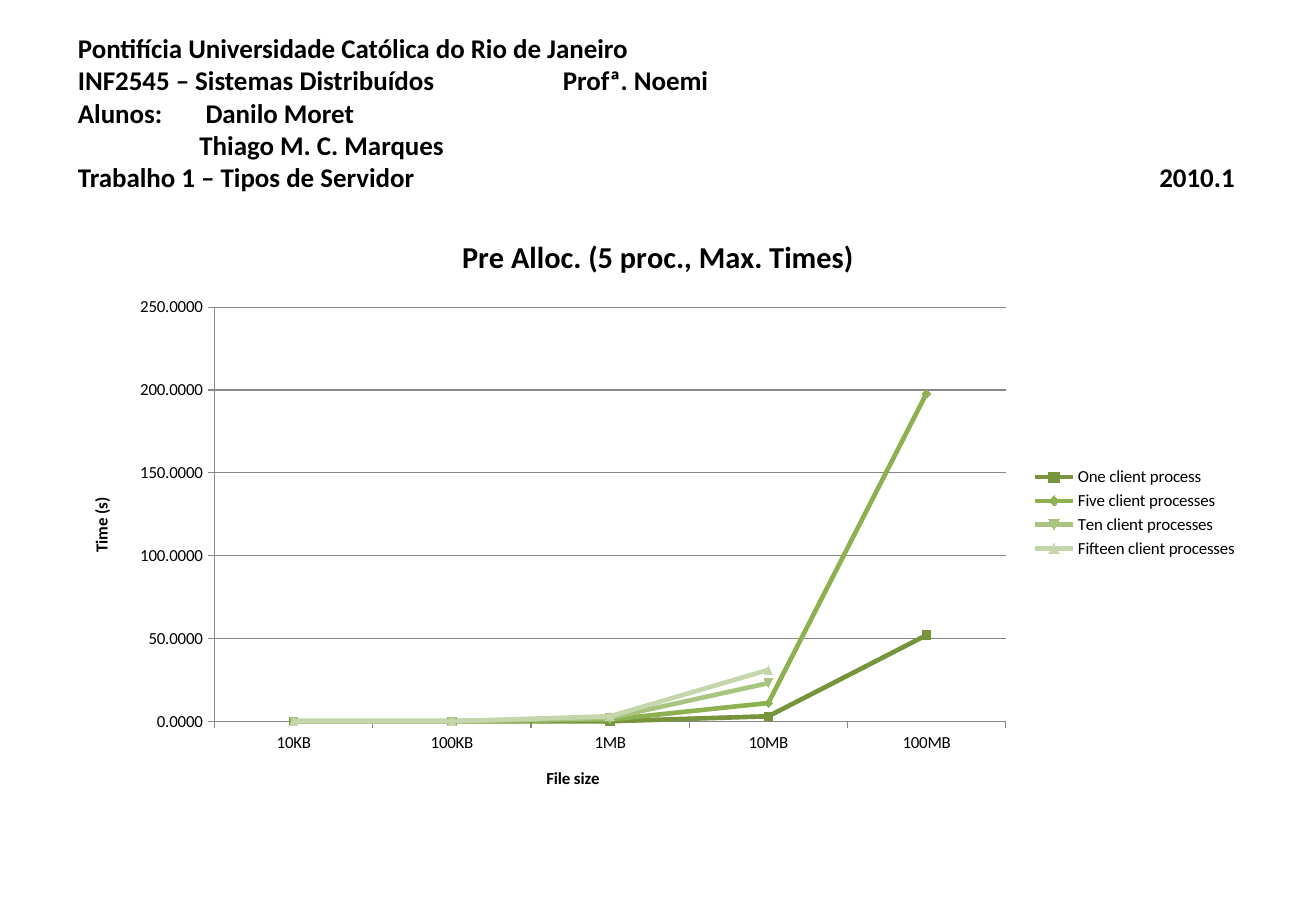
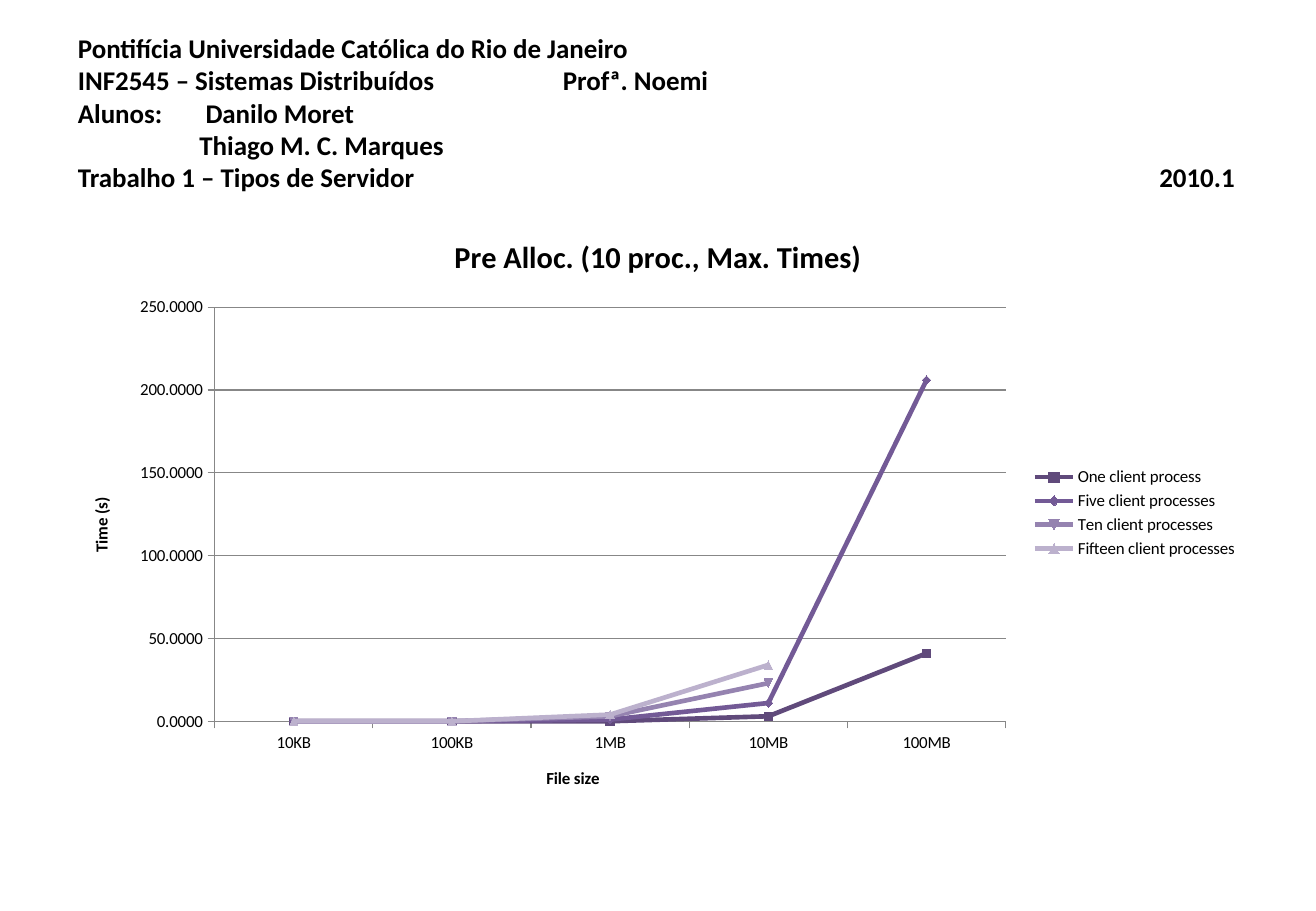
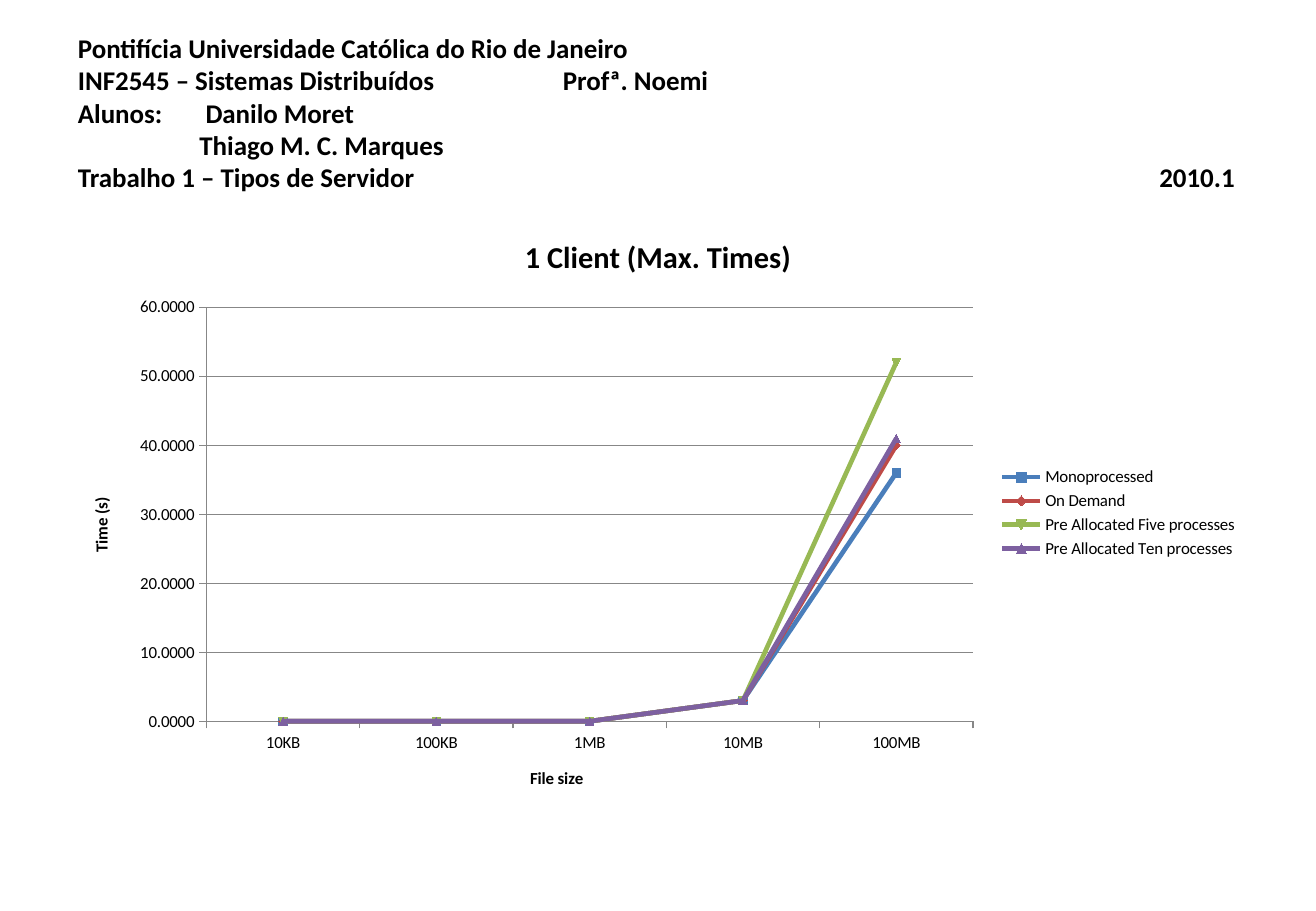
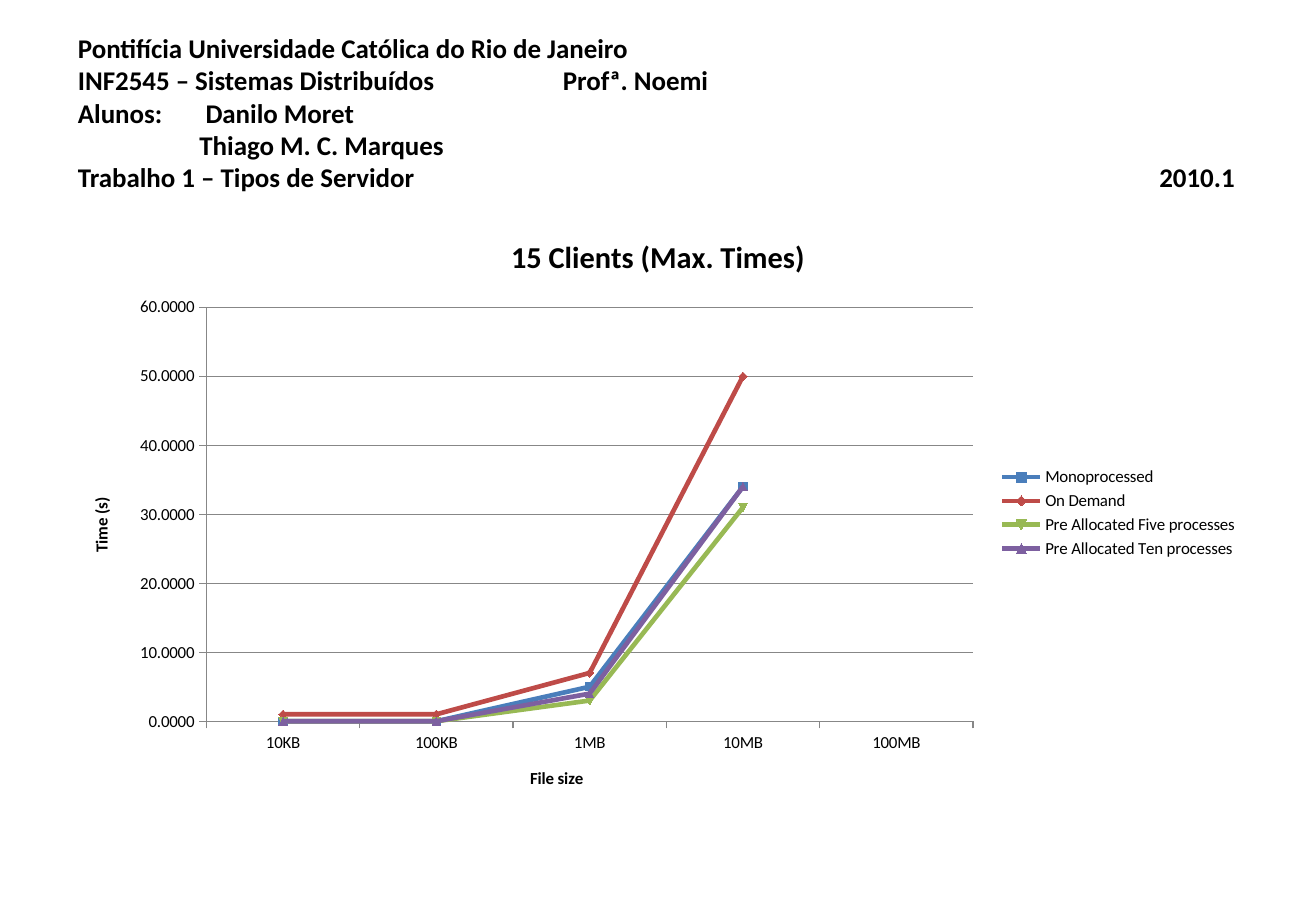
"""Build the server-type timing slides: a shared course header and one line chart each."""
import dataclasses

import pptx
import pptx.chart.data
import pptx.dml.color
import pptx.enum.chart
import pptx.enum.text
import pptx.oxml
import pptx.oxml.ns
import pptx.util

RGB = pptx.dml.color.RGBColor.from_string
Pt = pptx.util.Pt
Inches = pptx.util.Inches


@dataclasses.dataclass(frozen=True)
class Theme:
    font: str = "Calibri"
    text: str = "000000"
    background: str = "FFFFFF"
    grid: str = "878787"
    greens: tuple = ("77933C", "8DB050", "A9C47F", "C6D6AC")
    purples: tuple = ("604A7B", "735A96", "9583B0", "BCB1CD")
    mixed: tuple = ("4A7EBB", "BE4B48", "98B954", "7D60A0")
    header_size: int = 16
    chart_title_size: int = 18
    label_size: int = 10
    line_width: float = 2.75
    hairline: float = 0.75


THEME = Theme()
WIDTH, HEIGHT = Inches(10.83), Inches(7.5)
MARGIN = 0.05
HEADER_BOX = (MARGIN, 0.04, 0.9, 1 / 6)
CHART_BOX = (MARGIN, 0.233, 0.9, 0.66)

HEADER = (
    ("Pontifícia Universidade Católica do Rio de Janeiro", None),
    ("INF2545 – Sistemas Distribuídos\tProfª. Noemi", (3.99, "l")),
    ("Alunos:\tDanilo Moret", (1.05, "l")),
    ("\tThiago M. C. Marques", (1, "l")),
    ("Trabalho 1 – Tipos de Servidor\t2010.1", (9.52, "r")),
)
FILE_SIZES = ("10KB", "100KB", "1MB", "10MB", "100MB")
CLIENTS = ("One client process", "Five client processes",
           "Ten client processes", "Fifteen client processes")
SERVERS = ("Monoprocessed", "On Demand",
           "Pre Allocated Five processes", "Pre Allocated Ten processes")

CHARTS = (
    ("Pre Alloc. (5 proc., Max. Times)", CLIENTS, THEME.greens, 50, 250,
     ((0, 0, 0, 3, 52), (0, 0, 1, 11, 198), (0, 0, 2, 23, None), (0, 0, 3, 31, None))),
    ("Pre Alloc. (10 proc., Max. Times)", CLIENTS, THEME.purples, 50, 250,
     ((0, 0, 0, 3, 41), (0, 0, 1, 11, 206), (0, 0, 3, 23, None), (0, 0, 4, 34, None))),
    ("1 Client (Max. Times)", SERVERS, THEME.mixed, 10, 60,
     ((0, 0, 0, 3, 36), (0, 0, 0, 3, 40), (0, 0, 0, 3, 52), (0, 0, 0, 3, 41))),
    ("15 Clients (Max. Times)", SERVERS, THEME.mixed, 10, 60,
     ((0, 0, 5, 34, None), (1, 1, 7, 50, None), (0, 0, 3, 31, None), (0, 0, 4, 34, None))),
)


def place(box):
    """Turn shares of the slide into left, top, width and height."""
    x, y, w, h = box
    return int(x * WIDTH), int(y * HEIGHT), int(w * WIDTH), int(h * HEIGHT)


def style_font(font, size, bold):
    """Apply the theme's face and colour at one size and weight."""
    font.name = THEME.font
    font.size = Pt(size)
    font.bold = bold
    font.color.rgb = RGB(THEME.text)


def add_tab_stop(p, inches, align):
    """Give a paragraph one tab stop."""
    tabs = pptx.oxml.parse_xml(
        f'<a:tabLst {pptx.oxml.ns.nsdecls("a")}>'
        f'<a:tab pos="{Inches(inches)}" algn="{align}"/></a:tabLst>')
    p._p.get_or_add_pPr().append(tabs)


def add_header(s):
    """Fill the title placeholder with the course details."""
    sp = s.shapes.title
    sp.left, sp.top, sp.width, sp.height = place(HEADER_BOX)
    tf = sp.text_frame
    tf.word_wrap = True
    tf.auto_size = pptx.enum.text.MSO_AUTO_SIZE.NONE
    tf.vertical_anchor = pptx.enum.text.MSO_ANCHOR.MIDDLE
    for i, (text, stop) in enumerate(HEADER):
        p = tf.add_paragraph() if i else tf.paragraphs[0]
        p.alignment = pptx.enum.text.PP_ALIGN.LEFT
        if stop:
            add_tab_stop(p, *stop)
        r = p.add_run()
        r.text = text
        style_font(r.font, THEME.header_size, True)


def add_caption(owner, text, size):
    """Title a chart or an axis."""
    tf = owner.text_frame
    r = tf.paragraphs[0].add_run()
    r.text = text
    style_font(r.font, size, True)


def style_line(line, color, width):
    """Set a line's colour and width."""
    line.color.rgb = RGB(color)
    line.width = Pt(width)


def style_axis(axis, caption):
    """Caption an axis and draw it as a hairline with outer ticks."""
    add_caption(axis.axis_title, caption, THEME.label_size)
    axis.major_tick_mark = pptx.enum.chart.XL_TICK_MARK.OUTSIDE
    style_line(axis.format.line, THEME.grid, THEME.hairline)


def add_line_chart(s, title, names, colors, step, top, rows):
    """Add a chart of times against file size."""
    data = pptx.chart.data.CategoryChartData(number_format="0.0000")
    data.categories = FILE_SIZES
    for name, values in zip(names, rows):
        data.add_series(name, values)
    chart = s.shapes.add_chart(
        pptx.enum.chart.XL_CHART_TYPE.LINE_MARKERS, *place(CHART_BOX), data).chart
    style_font(chart.font, THEME.label_size, False)
    add_caption(chart.chart_title, title, THEME.chart_title_size)
    chart.chart_title.include_in_layout = False
    chart.has_legend = True
    chart.legend.position = pptx.enum.chart.XL_LEGEND_POSITION.RIGHT
    chart.legend.include_in_layout = False
    style_axis(chart.category_axis, "File size")
    axis = chart.value_axis
    style_axis(axis, "Time (s)")
    axis.minimum_scale, axis.maximum_scale, axis.major_unit = 0, top, step
    axis.tick_labels.number_format = "0.0000"
    axis.tick_labels.number_format_is_linked = False
    axis.has_major_gridlines = True
    style_line(axis.major_gridlines.format.line, THEME.grid, THEME.hairline)
    plot = chart.plots[0]
    plot.vary_by_categories = False
    for series, color in zip(plot.series, colors):
        series.smooth = False
        style_line(series.format.line, color, THEME.line_width)
        marker = series.marker.format
        marker.fill.solid()
        marker.fill.fore_color.rgb = RGB(color)
        style_line(marker.line, color, THEME.hairline)


def main():
    """Build and save the slides."""
    prs = pptx.Presentation()
    prs.slide_width, prs.slide_height = WIDTH, HEIGHT
    fill = prs.slide_master.background.fill
    fill.solid()
    fill.fore_color.rgb = RGB(THEME.background)
    for spec_row in CHARTS:
        s = prs.slides.add_slide(prs.slide_layouts[5])
        add_header(s)
        add_line_chart(s, *spec_row)
    prs.save("out.pptx")


main()
